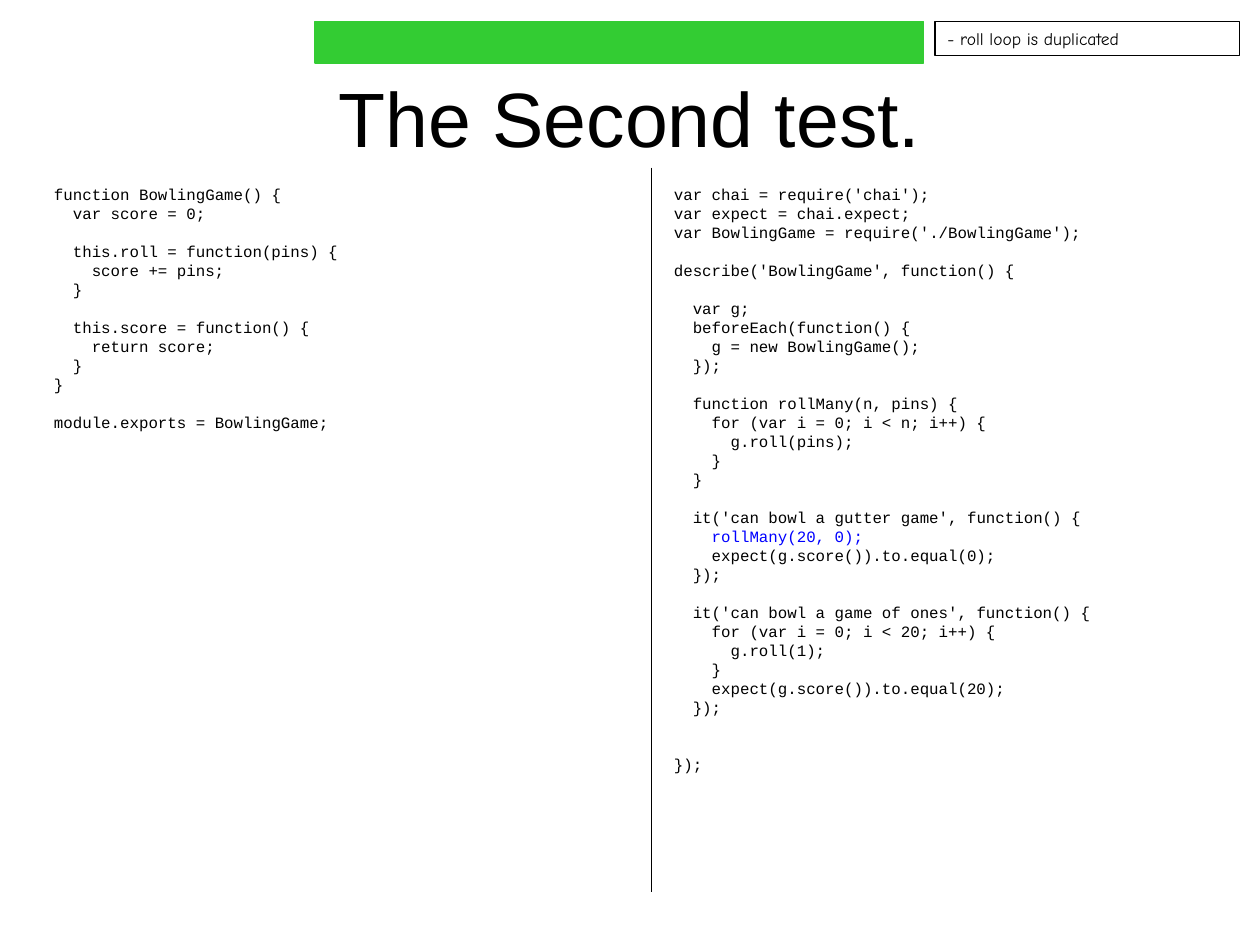
from pptx import Presentation
from pptx.dml.color import RGBColor
from pptx.enum.shapes import MSO_CONNECTOR, MSO_SHAPE
from pptx.enum.text import MSO_ANCHOR, PP_ALIGN
from pptx.oxml.ns import qn
from pptx.util import Inches, Pt
from lxml import etree

COLORS = {"text": "000000", "highlight": "0000FF", "bar": "33CC33"}
CODE_SIZE = 9
CODE_LINE = Pt(10.85)
CODE_CHAR = Pt(CODE_SIZE * 0.6)  # advance width of one Courier New character

GAME_CODE = """\
function BowlingGame() {
  var score = 0;

  this.roll = function(pins) {
    score += pins;
  }

  this.score = function() {
    return score;
  }
}

module.exports = BowlingGame;"""

TEST_CODE = """\
var chai = require('chai');
var expect = chai.expect;
var BowlingGame = require('./BowlingGame');

describe('BowlingGame', function() {

  var g;
  beforeEach(function() {
    g = new BowlingGame();
  });

  function rollMany(n, pins) {
    for (var i = 0; i < n; i++) {
      g.roll(pins);
    }
  }

  it('can bowl a gutter game', function() {
    rollMany(20, 0);
    expect(g.score()).to.equal(0);
  });

  it('can bowl a game of ones', function() {
    for (var i = 0; i < 20; i++) {
      g.roll(1);
    }
    expect(g.score()).to.equal(20);
  });


});"""


def rgb(name):
    return RGBColor.from_string(COLORS[name])


def write(p, text, font, size, color="text"):
    p.text = text
    f = p.runs[0].font
    f.name, f.size = font, Pt(size)
    f.color.rgb = rgb(color)


def add_title(slide, text, left, top, width, height):
    tf = slide.shapes.add_textbox(left, top, width, height).text_frame
    tf.word_wrap = True
    tf.vertical_anchor = MSO_ANCHOR.MIDDLE
    p = tf.paragraphs[0]
    p.alignment = PP_ALIGN.CENTER
    write(p, text, "Arial", 44)


def add_code(slide, code, left, top, width, height, highlight=None):
    """Turn leading spaces into indents and empty lines into space before."""
    tf = slide.shapes.add_textbox(left, top, width, height).text_frame
    tf.word_wrap = True
    p, gap = tf.paragraphs[0], 0
    for i, line in enumerate(code.splitlines()):
        text = line.lstrip()
        if not text:
            gap += 1
            continue
        if i:
            p = tf.add_paragraph()
        write(p, text, "Courier New", CODE_SIZE,
              "highlight" if text == highlight else "text")
        p.line_spacing = CODE_LINE
        p.space_before = Pt(CODE_LINE.pt * gap)
        pPr = p._p.get_or_add_pPr()
        pPr.set("marL", str(CODE_CHAR * (len(line) - len(text))))
        pPr.set("indent", "0")
        gap = 0


def add_divider(slide, x, top, bottom):
    line = slide.shapes.add_connector(MSO_CONNECTOR.STRAIGHT, x, top, x, bottom)
    line.line.color.rgb = rgb("text")
    line.line.width = Pt(0.75)
    etree.SubElement(line._element.spPr, qn("a:effectLst"))


def add_box(slide, line_color, left, top, width, height, fill=None):
    sp = slide.shapes.add_shape(MSO_SHAPE.RECTANGLE, left, top, width, height)
    sp.shadow.inherit = False
    if fill:
        sp.fill.solid()
        sp.fill.fore_color.rgb = rgb(fill)
    else:
        sp.fill.background()
    sp.line.color.rgb = rgb(line_color)
    sp.line.width = Pt(0.75)
    return sp


def add_note(slide, text, left, top, width, height):
    tf = add_box(slide, "text", left, top, width, height).text_frame
    tf.word_wrap = True
    tf.vertical_anchor = MSO_ANCHOR.TOP
    p = tf.paragraphs[0]
    p.alignment = PP_ALIGN.LEFT
    write(p, text, "Comic Neue", 10)


def main():
    prs = Presentation()
    prs.slide_width, prs.slide_height = Inches(10), Inches(7.5)
    slide = prs.slides.add_slide(prs.slide_layouts[6])

    add_title(slide, "The Second test.",
              Inches(0.5), Inches(0.3), Inches(9), Inches(1.25))
    code_top, code_width = Inches(1.42), Inches(4.42)
    add_code(slide, GAME_CODE, Inches(0.33), code_top, code_width, Inches(2.06))
    add_divider(slide, Inches(5.17), Inches(1.33), Inches(7.08))
    add_code(slide, TEST_CODE, Inches(5.25), code_top, code_width, Inches(4.76),
             highlight="rollMany(20, 0);")
    add_note(slide, "- roll loop is duplicated",
             Inches(7.42), Inches(0.17), Inches(2.42), Inches(0.27))
    add_box(slide, "bar", Inches(2.5), Inches(0.17), Inches(4.83), Inches(0.33),
            fill="bar")

    prs.save("out.pptx")


if __name__ == "__main__":
    main()
